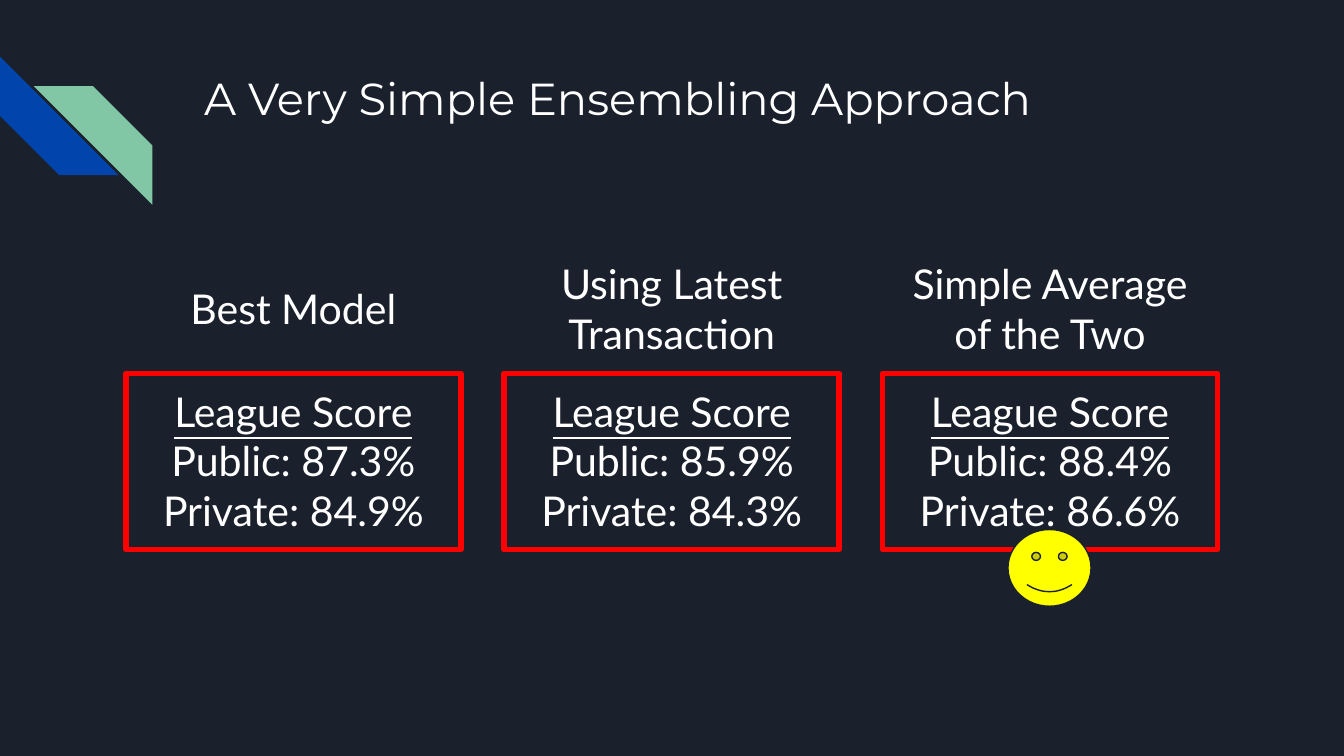
from dataclasses import dataclass

from lxml import etree
from pptx import Presentation
from pptx import util as u
from pptx.dml.color import RGBColor
from pptx.enum import shapes, text
from pptx.oxml import ns


@dataclass(frozen=True)
class Theme:
    background: RGBColor = RGBColor(0x1B, 0x21, 0x2C)
    blue: RGBColor = RGBColor(0x01, 0x45, 0xAC)
    green: RGBColor = RGBColor(0x82, 0xC7, 0xA5)
    red: RGBColor = RGBColor(0xFF, 0x00, 0x00)
    yellow: RGBColor = RGBColor(0xFF, 0xFF, 0x00)
    white: RGBColor = RGBColor(0xFF, 0xFF, 0xFF)
    title_font: str = "Montserrat"
    body_font: str = "Lato"
    title_size: int = 24
    body_size: int = 22


theme = Theme()


def write(shape, lines, font=theme.body_font, size=theme.body_size,
          align=text.PP_ALIGN.CENTER, fit=text.MSO_AUTO_SIZE.SHAPE_TO_FIT_TEXT,
          underline_first=False):
    frame = shape.text_frame
    frame.word_wrap = True
    frame.auto_size = fit
    frame.vertical_anchor = text.MSO_ANCHOR.TOP
    frame.margin_left = frame.margin_right = u.Cm(0.25)
    frame.margin_top = frame.margin_bottom = u.Cm(0.25)
    for i, line in enumerate(lines):
        paragraph = frame.paragraphs[0] if i == 0 else frame.add_paragraph()
        paragraph.alignment = align
        run = paragraph.add_run()
        run.text = line
        run.font.name = font
        run.font.size = u.Pt(size)
        run.font.color.rgb = theme.white
        run.font.underline = underline_first and i == 0


def add_figure(preset, left, top, width, height, fill=None):
    shape = slide.shapes.add_shape(preset, u.Cm(left), u.Cm(top), u.Cm(width), u.Cm(height))
    shape.shadow.inherit = False
    if fill is None:
        shape.fill.background()
    else:
        shape.fill.solid()
        shape.fill.fore_color.rgb = fill
    shape.line.fill.background()
    return shape


deck = Presentation()
deck.slide_width = u.Cm(25.4)
deck.slide_height = u.Cm(14.29)
slide = deck.slides.add_slide(deck.slide_layouts[6])
slide.background.fill.solid()
slide.background.fill.fore_color.rgb = theme.background

stripe = shapes.MSO_SHAPE.DIAGONAL_STRIPE
blue_stripe = add_figure(stripe, 0, 1.07, 2.24, 2.24, theme.blue)
blue_stripe.rotation = 270
green_stripe = add_figure(stripe, 0.64, 1.63, 2.24, 2.24, theme.green)
green_stripe.element.spPr.find(ns.qn("a:xfrm")).set("flipH", "1")

title = slide.shapes.add_textbox(u.Cm(3.61), u.Cm(1.09), u.Cm(19.56), u.Cm(2.54))
write(title, ["A Very Simple Ensembling Approach"], font=theme.title_font,
      size=theme.title_size, align=text.PP_ALIGN.LEFT, fit=text.MSO_AUTO_SIZE.NONE)

approaches = [
    ("Best Model", 1.45, "87.3%", "84.9%"),
    ("Using Latest Transaction", 2.39, "85.9%", "84.3%"),
    ("Simple Average of the Two", 2.39, "88.4%", "86.6%"),
]
first_left, column_step, column_width = 2.38, 7.15, 6.33
heading_middle = 5.84

for column, (heading, heading_height, public, private) in enumerate(approaches):
    left = first_left + column * column_step
    score = add_figure(shapes.MSO_SHAPE.RECTANGLE, left, 7.06, column_width, 3.33)
    score.line.color.rgb = theme.red
    score.line.width = u.Pt(3)
    etree.SubElement(score.element.spPr.find(ns.qn("a:ln")), ns.qn("a:round"))
    write(score, ["League Score", f"Public: {public}", f"Private: {private}"],
          underline_first=True)
    label = slide.shapes.add_textbox(
        u.Cm(left), u.Cm(heading_middle - heading_height / 2),
        u.Cm(column_width), u.Cm(heading_height))
    write(label, [heading])

smiley = add_figure(shapes.MSO_SHAPE.SMILEY_FACE, 19.05, 10.01, 1.57, 1.45, theme.yellow)
smiley.adjustments[0] = 0.047
smiley.line.color.rgb = theme.background
smiley.line.width = u.Pt(0.75)

deck.save("out.pptx")
